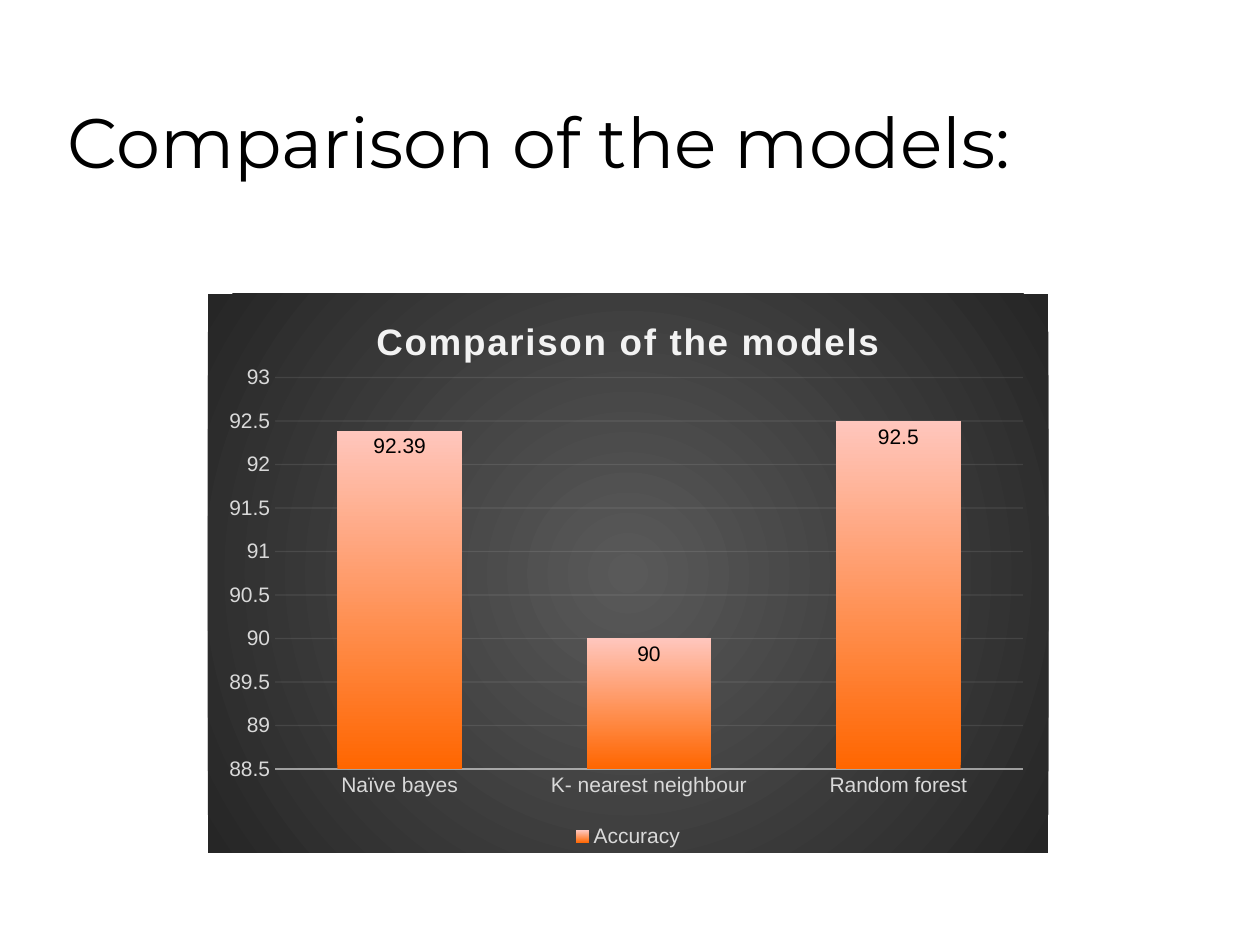
import lxml.etree
import pptx
import pptx.chart.data
import pptx.dml.color
import pptx.enum.chart
import pptx.enum.text
import pptx.oxml
import pptx.oxml.ns
import pptx.util

Pt = pptx.util.Pt
qn = pptx.oxml.ns.qn

HEADING = "Comparison of the models:"
CHART_TITLE = "Comparison of the models"
SERIES = "Accuracy"
ACCURACY = {"Naïve bayes": 92.39, "K- nearest neighbour": 90, "Random forest": 92.5}

SLIDE_SIZE = (720, 540)
HEADING_BOX = (31.68, 18, 612, 90)
CHART_BOX = (118.8, 167.76, 480.24, 319.68)
PLOT = {"x": 0.08, "y": 0.15, "w": 0.89, "h": 0.7}

THEME = {
    "heading_font": "Montserrat", "chart_font": "Arial",
    "heading_size": 40, "title_size": 21, "chart_size": 12,
    "ink": "000000", "pale": "F2F2F2", "muted": "D9D9D9",
    "bars": ("FF6600", "FFC6BD"), "backdrop": ("595959", "262626"),
}


def rgb(name):
    return pptx.dml.color.RGBColor.from_string(name)


def style_font(font, face, size, color, bold=False):
    font.name, font.size, font.bold = THEME[face], Pt(THEME[size]), bold
    font.color.rgb = rgb(THEME[color])


def style_line(line, width, opacity):
    line.width = Pt(width)
    line.color.rgb = rgb(THEME["pale"])
    color = line._ln.find(".//" + qn("a:srgbClr"))
    lxml.etree.SubElement(color, qn("a:alpha"), val=str(opacity * 1000))


def add_heading(slide):
    frame = slide.shapes.add_textbox(*map(Pt, HEADING_BOX)).text_frame
    frame.word_wrap = True
    frame.vertical_anchor = pptx.enum.text.MSO_ANCHOR.BOTTOM
    heading = frame.paragraphs[0]
    heading.text = HEADING
    style_font(heading.font, "heading_font", "heading_size", "ink")


def style_title(chart):
    chart.has_title = True
    title = chart.chart_title.text_frame.paragraphs[0]
    title.text = CHART_TITLE
    style_font(title.font, "chart_font", "title_size", "pale", bold=True)
    title.runs[0].font._element.set("spc", "100")
    chart.chart_title.include_in_layout = False


def style_axes(chart):
    for axis in (chart.category_axis, chart.value_axis):
        axis.major_tick_mark = axis.minor_tick_mark = pptx.enum.chart.XL_TICK_MARK.NONE
        style_font(axis.tick_labels.font, "chart_font", "chart_size", "muted")
    style_line(chart.category_axis.format.line, 1, 54)
    scale = chart.value_axis
    scale.minimum_scale, scale.maximum_scale, scale.major_unit = 88.5, 93, 0.5
    scale.format.line.fill.background()
    style_line(scale.major_gridlines.format.line, 0.75, 10)


def style_bars(chart):
    plot = chart.plots[0]
    plot.gap_width, plot.overlap, plot.vary_by_categories = 100, -24, False
    accuracy = plot.series[0]
    fill = accuracy.format.fill
    fill.gradient()
    fill.gradient_angle = 90
    for stop, color, position in zip(fill.gradient_stops, THEME["bars"], (0, 1)):
        stop.color.rgb, stop.position = rgb(color), position
    labels = accuracy.data_labels
    labels.show_value = True
    labels.position = pptx.enum.chart.XL_LABEL_POSITION.INSIDE_END
    style_font(labels.font, "chart_font", "chart_size", "ink")


def place_plot(chart):
    area = chart._chartSpace.chart.plotArea
    for layout in area.findall(qn("c:layout")):
        area.remove(layout)
    layout = lxml.etree.Element(qn("c:layout"))
    manual = lxml.etree.SubElement(layout, qn("c:manualLayout"))
    settings = {"layoutTarget": "inner", "xMode": "edge", "yMode": "edge", **PLOT}
    for tag, value in settings.items():
        lxml.etree.SubElement(manual, qn("c:" + tag), val=str(value))
    area.insert(0, layout)


def fill_backdrop(chart):
    stops = "".join(
        f'<a:gs pos="{position}"><a:srgbClr val="{color}"/></a:gs>'
        for position, color in zip((0, 100000), THEME["backdrop"])
    )
    chart._chartSpace.chart.addnext(pptx.oxml.parse_xml(
        f'<c:spPr {pptx.oxml.ns.nsdecls("c", "a")}><a:gradFill><a:gsLst>{stops}</a:gsLst>'
        '<a:path path="circle"><a:fillToRect l="50000" t="50000" r="50000" b="50000"/></a:path>'
        "</a:gradFill><a:ln><a:noFill/></a:ln></c:spPr>"
    ))


def add_accuracy_chart(slide):
    scores = pptx.chart.data.CategoryChartData()
    scores.categories = list(ACCURACY)
    scores.add_series(SERIES, list(ACCURACY.values()))
    chart = slide.shapes.add_chart(
        pptx.enum.chart.XL_CHART_TYPE.COLUMN_CLUSTERED, *map(Pt, CHART_BOX), scores
    ).chart
    style_font(chart.font, "chart_font", "chart_size", "muted")
    style_title(chart)
    style_axes(chart)
    style_bars(chart)
    chart.has_legend = True
    chart.legend.position = pptx.enum.chart.XL_LEGEND_POSITION.BOTTOM
    chart.legend.include_in_layout = False
    style_font(chart.legend.font, "chart_font", "chart_size", "muted")
    place_plot(chart)
    fill_backdrop(chart)


def main():
    """Build the slide comparing the accuracy of the models."""
    deck = pptx.Presentation()
    deck.slide_width, deck.slide_height = map(Pt, SLIDE_SIZE)
    slide = deck.slides.add_slide(deck.slide_layouts[6])
    add_heading(slide)
    add_accuracy_chart(slide)
    deck.save("out.pptx")


if __name__ == "__main__":
    main()
